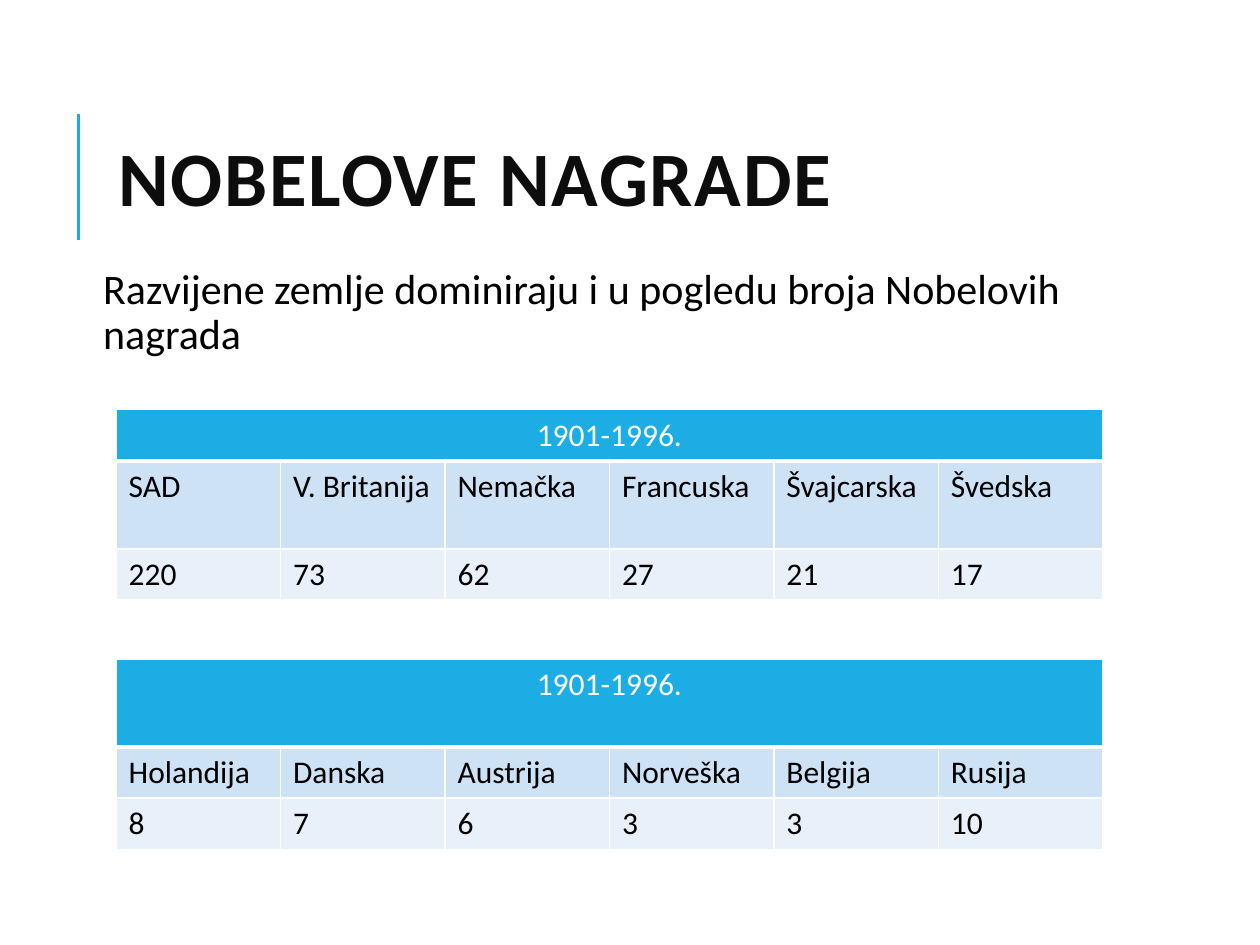
import pptx
import pptx.dml.color
import pptx.enum.shapes
import pptx.enum.text
import pptx.oxml.ns
import pptx.util
from lxml import etree

Cm, Pt = pptx.util.Cm, pptx.util.Pt
RGB = pptx.dml.color.RGBColor
ALIGN = pptx.enum.text.PP_ALIGN
qn = pptx.oxml.ns.qn

BLUE = RGB(0x1C, 0xAD, 0xE4)
PALE = RGB(0xCD, 0xE3, 0xF5)
MIST = RGB(0xE8, 0xF1, 0xFA)
WHITE = RGB(0xFF, 0xFF, 0xFF)
BLACK = RGB(0, 0, 0)
INK = RGB(0x0D, 0x0D, 0x0D)


def write(para, text, size, color, bold=False):
    run = para.add_run()
    run.text = text
    font = run.font
    font.name, font.size, font.bold = "Calibri", Pt(size), bold
    font.color.rgb = color
    return run


def edge(cell, side, width):
    """Draw a white border on one side (L, R, T or B) of a table cell."""
    line = etree.SubElement(cell._tc.get_or_add_tcPr(), qn(f"a:ln{side}"), w=str(Pt(width)))
    fill = etree.SubElement(line, qn("a:solidFill"))
    etree.SubElement(fill, qn("a:srgbClr"), val=str(WHITE))


deck = pptx.Presentation()
deck.slide_width, deck.slide_height = Cm(25.4), Cm(19.05)
slide = deck.slides.add_slide(deck.slide_layouts[6])
shapes = slide.shapes

# Accent line beside the title
rule = shapes.add_connector(
    pptx.enum.shapes.MSO_CONNECTOR.STRAIGHT, Cm(1.58), Cm(4.83), Cm(1.58), Cm(2.29))
rule.line.color.rgb = BLUE
rule.line.width = Pt(1.5)
etree.SubElement(rule._element.spPr, qn("a:effectLst"))

# Title
title = shapes.add_textbox(Cm(2.13), Cm(1.63), Cm(20.24), Cm(4.17)).text_frame
title.word_wrap = True
title.vertical_anchor = pptx.enum.text.MSO_ANCHOR.MIDDLE
para = title.paragraphs[0]
para.line_spacing = 0.8
run = write(para, "NOBELOVE NAGRADE", 44, INK, True)
run.font._element.set("spc", "100")

# Lead sentence
body = shapes.add_textbox(Cm(1.7), Cm(5.28), Cm(19.89), Cm(8.86)).text_frame
body.word_wrap = True
body.margin_left = Cm(0.38)
body.margin_right = body.margin_top = body.margin_bottom = Cm(0.13)
para = body.paragraphs[0]
para.line_spacing = 0.9
write(para, "Razvijene zemlje dominiraju i u pogledu broja Nobelovih nagrada", 24, BLACK)

# Tables: top, row heights, countries, prizes
TABLES = [
    (8.26, (1.03, 1.78, 1.03),
     ["SAD", "V. Britanija", "Nemačka", "Francuska", "Švajcarska", "Švedska"],
     [220, 73, 62, 27, 21, 17]),
    (13.28, (1.78, 1.03, 1.03),
     ["Holandija", "Danska", "Austrija", "Norveška", "Belgija", "Rusija"],
     [8, 7, 6, 3, 3, 10]),
]
for top, highs, lands, wins in TABLES:
    frame = shapes.add_table(3, 6, Cm(2.34), Cm(top), Cm(19.89), Cm(sum(highs)))
    table = frame.table
    for row, high in zip(table.rows, highs):
        row.height = Cm(high)
    rows = [["1901-1996."] + [""] * 5, lands, wins]
    for r, (texts, shade) in enumerate(zip(rows, (BLUE, PALE, MIST))):
        head = r == 0
        for c, text in enumerate(texts):
            cell = table.cell(r, c)
            for side in "LRTB":
                edge(cell, side, 3 if head and side == "B" else 1)
            cell.fill.solid()
            cell.fill.fore_color.rgb = shade
            if text != "":
                para = cell.text_frame.paragraphs[0]
                para.alignment = ALIGN.CENTER if head else ALIGN.LEFT
                write(para, str(text), 18, WHITE if head else BLACK)
    table.cell(0, 0).merge(table.cell(0, 5))

deck.save("out.pptx")
